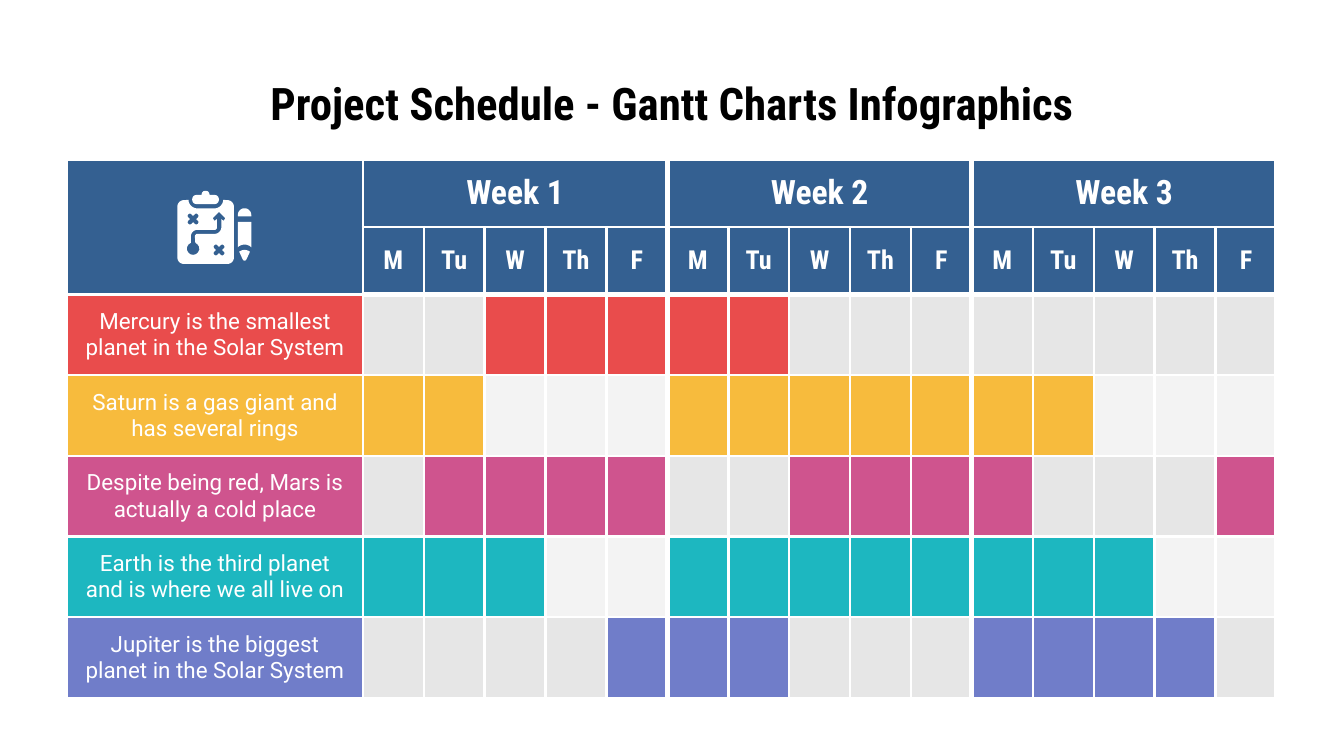
from math import cos, radians, sin, sqrt

from lxml.etree import SubElement
from pptx import Presentation
from pptx.dml.color import RGBColor
from pptx.enum.text import MSO_ANCHOR, PP_ALIGN
from pptx.oxml.ns import qn
from pptx.util import Pt

EMU_PER_PX = 1524
COLORS = {
    "black": "000000",
    "white": "FFFFFF",
    "header": "346091",
    "idle_dark": "E6E6E6",
    "idle_light": "F3F3F3",
    "mercury": "E94C4C",
    "saturn": "F7BB3D",
    "mars": "CF548E",
    "earth": "1DB7C0",
    "jupiter": "707DC9",
}
HEADING_FONT = "Roboto Condensed"
BODY_FONT = "Roboto"
DAYS = ["M", "Tu", "W", "Th", "F"]
WEEKS = 3
TASKS = [
    ("Mercury is the smallest planet in the Solar System", "mercury", "..XXX XX... ....."),
    ("Saturn is a gas giant and has several rings", "saturn", "XX... XXXXX XX..."),
    ("Despite being red, Mars is actually a cold place", "mars", ".XXXX ..XXX X...X"),
    ("Earth is the third planet and is where we all live on", "earth", "XXX.. XXXXX XXX.."),
    ("Jupiter is the biggest planet in the Solar System", "jupiter", "....X XX... XXXX."),
]


def px(length):
    return length * EMU_PER_PX


def rgb(name):
    return RGBColor.from_string(COLORS[name])


def arc(x, y, radius, start, end, steps=12):
    angles = [radians(start + (end - start) * step / steps) for step in range(steps + 1)]
    return [(round(x + radius * cos(a)), round(y + radius * sin(a))) for a in angles]


def cross(x, y, reach=20, half=10):
    points = []
    for angle in (45, 135, 225, 315):
        tip_x = x + reach * cos(radians(angle))
        tip_y = y + reach * sin(radians(angle))
        points += arc(tip_x, tip_y, half, angle - 90, angle + 90)
        points += arc(x, y, half * sqrt(2), angle + 45, angle + 45, 1)[:1]
    return points


class GanttSlide:
    def __init__(self, presentation):
        self.slide = presentation.slides.add_slide(presentation.slide_layouts[6])

    def label(self, frame, text, size, font=HEADING_FONT, color="white", bold=True):
        paragraph = frame.paragraphs[0]
        paragraph.alignment = PP_ALIGN.CENTER
        run = paragraph.add_run()
        run.text = text
        run.font.size = Pt(size)
        run.font.name = font
        run.font.bold = bold
        run.font.color.rgb = rgb(color)

    def title(self, text, left, top, width, height):
        frame = self.slide.shapes.add_textbox(px(left), px(top), px(width), px(height)).text_frame
        frame.word_wrap = True
        frame.vertical_anchor = MSO_ANCHOR.MIDDLE
        frame.margin_left = frame.margin_right = px(60)
        frame.margin_top = frame.margin_bottom = px(60)
        self.label(frame, text, 24, color="black")

    def table(self, left, top, widths, heights):
        table = self.slide.shapes.add_table(
            len(heights), len(widths), px(left), px(top), px(sum(widths)), px(sum(heights))
        ).table
        table.first_row = table.horz_banding = False
        for column, width in zip(table.columns, widths):
            column.width = px(width)
        for row, height in zip(table.rows, heights):
            row.height = px(height)
        return table

    def cell(self, cell, fill, borders):
        cell.vertical_anchor = MSO_ANCHOR.MIDDLE
        cell.margin_left = cell.margin_right = px(60)
        cell.margin_top = cell.margin_bottom = px(60)
        properties = cell._tc.get_or_add_tcPr()
        for side, points in zip(("L", "R", "T", "B"), borders):
            line = SubElement(properties, qn(f"a:ln{side}"), w=str(Pt(points)))
            solid = SubElement(line, qn("a:solidFill"))
            SubElement(solid, qn("a:srgbClr"), val=COLORS["white"])
        cell.fill.solid()
        cell.fill.fore_color.rgb = rgb(fill)

    def outline(self, group, contours):
        first, *holes = contours
        builder = group.shapes.build_freeform(*first[0], scale=float(EMU_PER_PX))
        builder.add_line_segments(first[1:], close=True)
        for hole in holes:
            builder.move_to(*hole[0])
            builder.add_line_segments(hole[1:], close=True)
        shape = builder.convert_to_shape()
        shape.shadow.inherit = False
        shape.fill.solid()
        shape.fill.fore_color.rgb = rgb("white")
        shape.line.fill.background()

    def icon(self, parts):
        group = self.slide.shapes.add_group_shape()
        for contours in parts:
            self.outline(group, contours)


def add_schedule(page):
    day_count = len(DAYS) * WEEKS
    schedule = page.table(300, 714, [1320] + [272] * day_count, [300] * (2 + len(TASKS)))
    schedule.cell(0, 0).merge(schedule.cell(1, 0))
    for week in range(WEEKS):
        monday = 1 + week * len(DAYS)
        schedule.cell(0, monday).merge(schedule.cell(0, monday + len(DAYS) - 1))

    fills = [["header"] * (1 + day_count) for _ in range(2)]
    for index, (_, color, bookings) in enumerate(TASKS):
        idle = "idle_light" if index % 2 else "idle_dark"
        days = [color if day == "X" else idle for day in bookings.replace(" ", "")]
        fills.append([color] + days)

    for row, row_fills in enumerate(fills):
        for column, fill in enumerate(row_fills):
            cell = schedule.cell(row, column)
            is_day = column > 0
            last = column + cell.span_width - 1
            thick = (
                column > 1 and column % len(DAYS) == 1,
                is_day and last % len(DAYS) == 0,
                is_day and row == 2,
                is_day and row == 1,
            )
            page.cell(cell, fill, [3 if side else 1.5 for side in thick])

    for week in range(WEEKS):
        monday = 1 + week * len(DAYS)
        page.label(schedule.cell(0, monday).text_frame, f"Week {week + 1}", 18)
        for offset, day in enumerate(DAYS):
            page.label(schedule.cell(1, monday + offset).text_frame, day, 14)
    for row, (task, _, _) in enumerate(TASKS, start=2):
        page.label(schedule.cell(row, 0).text_frame, task, 12, BODY_FONT, bold=False)


def add_plan_icon(page):
    board = (
        arc(820, 922, 28, 270, 180) + arc(820, 1150, 28, 180, 90)
        + arc(1016, 1150, 28, 90, 0) + arc(1016, 922, 28, 0, -90)
        + arc(958, 892, 38, 0, 90) + arc(880, 892, 38, 90, 180)
    )
    route = (
        arc(862, 1110, 28, -70, 250) + arc(882, 1056, 30, 180, 270)
        + arc(958, 1016, 10, 90, 0)
        + [(968, 978), (958, 986), (950, 974), (978, 946), (1006, 974), (998, 986), (988, 978)]
        + arc(958, 1014, 30, 0, 90) + arc(882, 1056, 12, 270, 180)
    )
    clip = (
        arc(879, 891, 21, 270, 90) + arc(957, 891, 21, 90, -90)
        + arc(918, 870, 18, 0, -180)
    )
    barrel = [(1062, 990), (1122, 990), (1122, 1104)] + arc(1092, 1136, 44, -47, -133) + [(1062, 1104)]
    eraser = [(1062, 966)] + arc(1092, 960, 30, 180, 360) + [(1122, 966)]
    tip = arc(1092, 1156, 40, -127, -53) + arc(1092, 1156, 8, 20, 160)
    page.icon([[board, cross(862, 978), route, cross(978, 1116)], [clip], [barrel], [eraser], [tip]])


def main():
    presentation = Presentation()
    presentation.slide_width = px(6000)
    presentation.slide_height = px(3375)
    page = GanttSlide(presentation)
    page.title("Project Schedule - Gantt Charts Infographics", 300, 270, 5400, 378)
    add_schedule(page)
    add_plan_icon(page)
    presentation.save("out.pptx")


if __name__ == "__main__":
    main()
